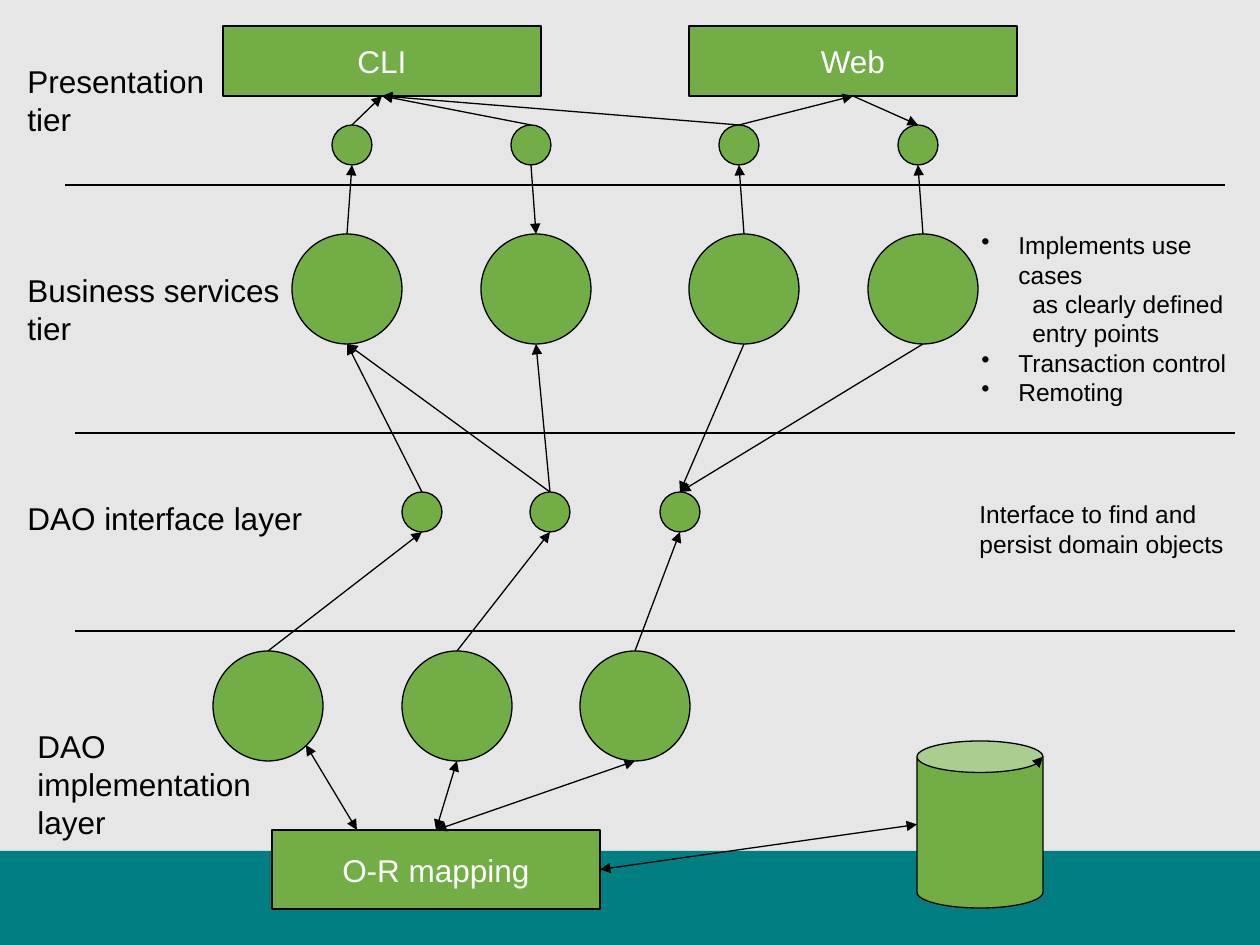
from lxml.etree import SubElement
from pptx import Presentation
from pptx.dml.color import RGBColor
from pptx.enum.shapes import MSO_CONNECTOR as Connector, MSO_SHAPE as Shape
from pptx.enum.text import MSO_ANCHOR as Anchor, PP_ALIGN as Align
from pptx.oxml.ns import qn
from pptx.util import Emu, Pt

EMU_PER_PX = 914400 / 126
GREEN, TEAL, GRAY = "72AD46", "007E82", "E6E6E6"
BLACK, WHITE = "000000", "FFFFFF"
LARGE, SMALL = 110, 40
TOP, LEFT, BOTTOM, RIGHT = range(4)


def px(length):
    return Emu(round(length * EMU_PER_PX))


def color(value):
    return RGBColor.from_string(value)


def style_font(paragraph, size, value):
    paragraph.font.name = "Arial"
    paragraph.font.size = Pt(size)
    paragraph.font.color.rgb = color(value)


def add_arrowheads(item, *ends):
    """Put triangles on the given line ends, headEnd before tailEnd."""
    outline = item._element.spPr.get_or_add_ln()
    for end in ends:
        SubElement(outline, qn(f"a:{end}"), type="triangle")


def add_shape(slide, kind, left, top, width, height, fill=GREEN):
    shape = slide.shapes.add_shape(kind, px(left), px(top), px(width), px(height))
    shape.shadow.inherit = False
    shape.fill.solid()
    shape.fill.fore_color.rgb = color(fill)
    shape.line.color.rgb = color(BLACK)
    shape.line.width = Pt(0.75)
    return shape


def add_circles(slide, lefts, top, size):
    return [add_shape(slide, Shape.OVAL, left, top, size, size) for left in lefts]


def add_box(slide, text, left, top, width, height):
    box = add_shape(slide, Shape.RECTANGLE, left, top, width, height)
    frame = box.text_frame
    frame.word_wrap = False
    frame.vertical_anchor = Anchor.MIDDLE
    frame.text = text
    frame.paragraphs[0].alignment = Align.CENTER
    style_font(frame.paragraphs[0], 18, WHITE)
    return box


def add_text(slide, lines, left, top, width, height, size):
    frame = slide.shapes.add_textbox(px(left), px(top), px(width), px(height)).text_frame
    frame.word_wrap = True
    frame.text = "\n".join(lines)
    for paragraph in frame.paragraphs:
        style_font(paragraph, size, BLACK)
    return frame.paragraphs


def indent(paragraph, margin, bullet=False):
    properties = paragraph._p.get_or_add_pPr()
    properties.set("marL", str(px(margin)))
    properties.set("indent", str(px(-margin) if bullet else 0))
    if bullet:
        SubElement(properties, qn("a:buChar"), char="•")


def add_line(slide, start, end):
    line = slide.shapes.add_connector(Connector.STRAIGHT, *map(px, start + end))
    line.line.color.rgb = color(BLACK)
    line.line.width = Pt(0.75)
    SubElement(line._element.spPr, qn("a:effectLst"))
    return line


def side_point(shape, side):
    """Middle of a shape's side, in px."""
    across, down = {TOP: (0.5, 0), LEFT: (0, 0.5), BOTTOM: (0.5, 1), RIGHT: (1, 0.5)}[side]
    return ((shape.left + across * shape.width) / EMU_PER_PX,
            (shape.top + down * shape.height) / EMU_PER_PX)


def add_link(slide, start, end, both=False):
    """Arrow pointing at start, and also at end if both; ends are (shape, side)."""
    link = add_line(slide, side_point(*start), side_point(*end))
    for (shape, side), connect in ((start, link.begin_connect), (end, link.end_connect)):
        if shape.auto_shape_type == Shape.RECTANGLE:
            connect(shape, side)
    add_arrowheads(link, "headEnd", *(["tailEnd"] if both else []))


def add_tier_texts(slide):
    for lines, left, top, width, height in (
        (["Presentation", "tier"], 15, 56, 202, 88),
        (["Business services", "tier"], 15, 265, 286, 88),
        (["DAO interface layer"], 15, 493, 300, 50),
        (["DAO", "implementation", "layer"], 25, 721, 247, 126),
    ):
        add_text(slide, lines, left, top, width, height, 18)

    duties = add_text(slide, ["Implements use cases", "as clearly defined", "entry points",
                              "Transaction control", "Remoting"], 969, 224, 291, 160, 14)
    for position, duty in enumerate(duties):
        continues = position in (1, 2)
        indent(duty, 51 if continues else 37, bullet=not continues)

    add_text(slide, ["Interface to find and", "persist domain objects"], 967, 493, 270, 72, 14)


def main():
    deck = Presentation()
    deck.slide_width, deck.slide_height = px(1260), px(945)
    slide = deck.slides.add_slide(deck.slide_layouts[6])
    slide.background.fill.solid()
    slide.background.fill.fore_color.rgb = color(GRAY)

    footer = add_shape(slide, Shape.RECTANGLE, 0, 851, 1260, 94, TEAL)
    footer.line.fill.background()
    for left, y in ((65, 185), (75, 433), (75, 631)):
        add_line(slide, (left, y), (left + 1160, y))

    cli = add_box(slide, "CLI", 223, 26, 318, 70)
    web = add_box(slide, "Web", 689, 26, 328, 70)
    mapping = add_box(slide, "O-R mapping", 272, 830, 328, 79)
    database = add_shape(slide, Shape.CAN, 917, 741, 126, 167)
    add_arrowheads(database, "headEnd")

    ports = add_circles(slide, (332, 511, 719, 898), 125, SMALL)
    services = add_circles(slide, (292, 481, 689, 868), 234, LARGE)
    interfaces = add_circles(slide, (402, 530, 660), 492, SMALL)
    daos = add_circles(slide, (213, 402, 580), 651, LARGE)

    for port in ports[:3]:
        add_link(slide, (cli, BOTTOM), (port, TOP))
    add_link(slide, (web, BOTTOM), (ports[2], TOP))
    add_link(slide, (ports[3], TOP), (web, BOTTOM))

    for index, (port, service) in enumerate(zip(ports, services)):
        ends = (port, BOTTOM), (service, TOP)
        add_link(slide, *(reversed(ends) if index == 1 else ends))

    for service, interface in ((0, 0), (0, 1), (1, 1)):
        add_link(slide, (services[service], BOTTOM), (interfaces[interface], TOP))
    for service in services[2:]:
        add_link(slide, (interfaces[2], TOP), (service, BOTTOM))
    for interface, dao in zip(interfaces, daos):
        add_link(slide, (interface, BOTTOM), (dao, TOP))

    first_mapping = add_line(slide, (306, 745), (357, 830))
    add_arrowheads(first_mapping, "headEnd", "tailEnd")
    for dao in daos[1:]:
        add_link(slide, (dao, BOTTOM), (mapping, TOP), both=True)
    add_link(slide, (mapping, RIGHT), (database, LEFT), both=True)

    add_tier_texts(slide)
    deck.save("out.pptx")


if __name__ == "__main__":
    main()
